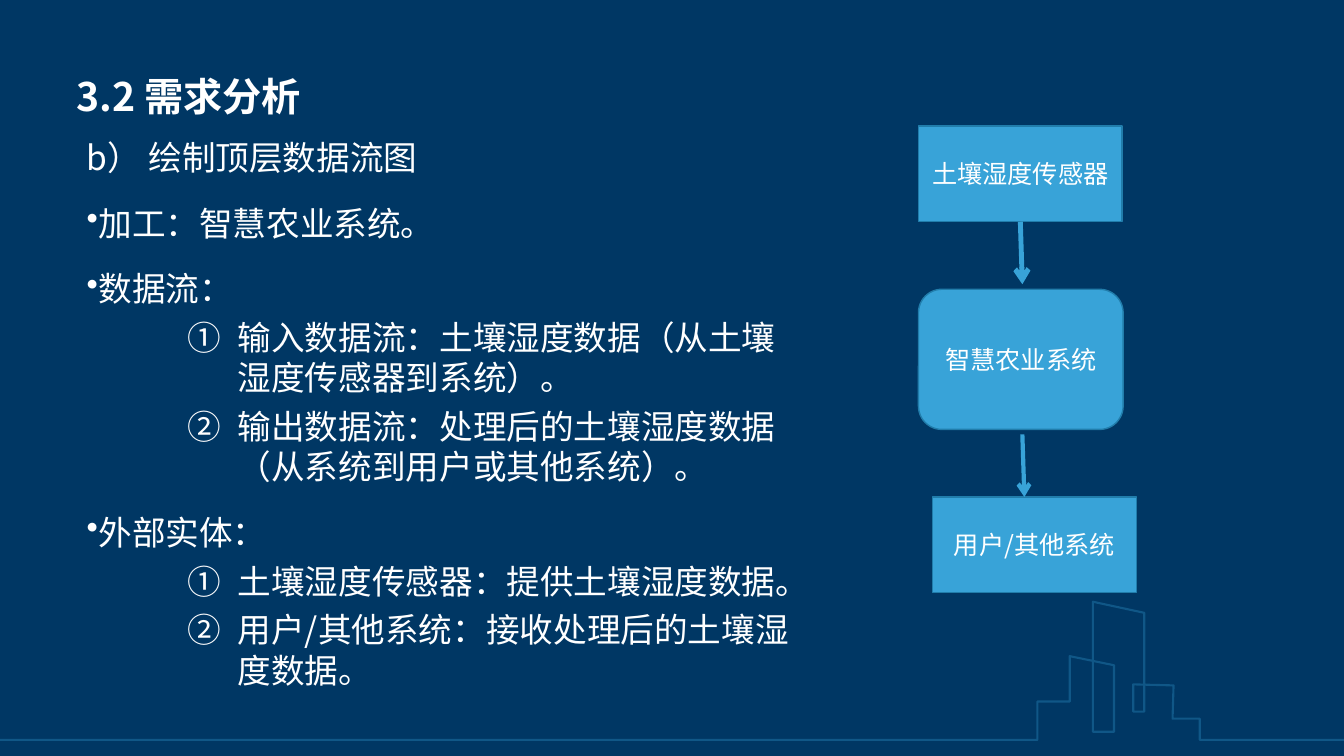
import pptx
import pptx.util
import pptx.dml.color
import pptx.enum.shapes
import pptx.enum.text
import pptx.oxml.ns
from lxml import etree

Inches, Pt = pptx.util.Inches, pptx.util.Pt
SHAPE = pptx.enum.shapes.MSO_SHAPE
ALIGN = pptx.enum.text.PP_ALIGN
ANCHOR = pptx.enum.text.MSO_ANCHOR

THEME = {
    "font": "Noto Sans CJK SC",
    "background": "003764", "text": "FFFFFF", "accent": "38A3D8", "border": "217DAB",
    "title": 28, "body": 24, "label": 18,
}

TITLE = "3.2 需求分析"
# (level, text)
BODY = [
    ("lead", "b） 绘制顶层数据流图"),
    ("bullet", "加工：智慧农业系统。"),
    ("bullet", "数据流："),
    ("number", "输入数据流：土壤湿度数据（从土壤湿度传感器到系统）。"),
    ("number", "输出数据流：处理后的土壤湿度数据（从系统到用户或其他系统）。"),
    ("bullet", "外部实体："),
    ("number", "土壤湿度传感器：提供土壤湿度数据。"),
    ("number", "用户/其他系统：接收处理后的土壤湿度数据。"),
]
# level: (margin, indent, space before, bullet tag, bullet attributes)
LEVELS = {
    "lead": (0, 0, 0, "a:buNone", {}),
    "bullet": (0, -0.58, 18, "a:buChar", {"char": "•"}),
    "number": (1.5, -0.5, 6, "a:buAutoNum", {"type": "circleNumDbPlain"}),
}
# (text, preset, left, top, width, height)
NODES = [
    ("土壤湿度传感器", SHAPE.RECTANGLE, 9.11, 1.25, 2.02, 0.95),
    ("智慧农业系统", SHAPE.ROUNDED_RECTANGLE, 9.11, 2.87, 2.03, 1.39),
    (" 用户/其他系统 ", SHAPE.RECTANGLE, 9.25, 4.93, 2.02, 0.95),
]
# (start, end, line width)
FLOWS = [((10.12, 2.2), (10.14, 2.82), 3.5), ((10.14, 4.31), (10.16, 4.93), 3)]
SKYLINE = [
    (13.33, 7.34), (11.9, 7.34), (11.9, 7.13), (11.63, 7.13), (11.64, 6.8), (11.24, 6.79),
    (11.24, 7.06), (11.35, 7.06), (11.35, 6.08), (10.84, 5.97), (10.84, 7.26), (11.05, 7.26),
    (11.05, 6.6), (10.61, 6.51), (10.61, 6.96), (10.29, 6.96), (10.29, 7.34), (0, 7.34),
]


def color(name):
    return pptx.dml.color.RGBColor.from_string(THEME[name])


def add_xml(parent, tag, **attributes):
    return etree.SubElement(parent, pptx.oxml.ns.qn(tag), attributes)


def write(para, text, size, bold=False, align=ALIGN.LEFT):
    para.alignment = align
    span = para.add_run()
    span.text = text
    span.font.size = Pt(THEME[size])
    span.font.bold = bold
    span.font.name = THEME["font"]
    span.font.color.rgb = color("text")
    add_xml(span.font._element, "a:ea", typeface=THEME["font"])


def add_box(page, left, top, width, height, inset, anchor):
    box = page.shapes.add_textbox(*map(Inches, (left, top, width, height)))
    frame = box.text_frame
    frame.word_wrap = True
    frame.vertical_anchor = anchor
    frame.margin_left = frame.margin_right = Inches(inset)
    frame.margin_top = frame.margin_bottom = Inches(inset / 2)
    return frame


def add_body(page):
    frame = add_box(page, 0.76, 1.31, 7.21, 5.75, 0.1, ANCHOR.TOP)
    for index, (level, text) in enumerate(BODY):
        para = frame.add_paragraph() if index else frame.paragraphs[0]
        margin, indent, before, tag, attributes = LEVELS[level]
        para.space_before = Pt(before)
        properties = para._p.get_or_add_pPr()
        properties.set("marL", str(Inches(margin)))
        properties.set("indent", str(Inches(indent)))
        add_xml(properties, tag, **attributes)
        write(para, text, "body")


def add_skyline(page):
    points = [(Inches(x), Inches(y)) for x, y in SKYLINE]
    builder = page.shapes.build_freeform(*points[0])
    builder.add_line_segments(points[1:], close=False)
    skyline = builder.convert_to_shape()
    skyline.shadow.inherit = False
    skyline.fill.background()
    skyline.line.color.rgb = color("accent")
    skyline.line.width = Pt(1.5)
    tint = skyline.line._ln.find(".//" + pptx.oxml.ns.qn("a:srgbClr"))
    add_xml(tint, "a:alpha", val="30000")


def add_node(page, text, preset, *place):
    node = page.shapes.add_shape(preset, *map(Inches, place))
    node.shadow.inherit = False
    node.fill.solid()
    node.fill.fore_color.rgb = color("accent")
    node.line.color.rgb = color("border")
    node.line.width = Pt(1)
    node.text_frame.word_wrap = True
    node.text_frame.vertical_anchor = ANCHOR.MIDDLE
    write(node.text_frame.paragraphs[0], text, "label", align=ALIGN.CENTER)


def add_flow(page, start, end, width):
    flow = page.shapes.add_connector(
        pptx.enum.shapes.MSO_CONNECTOR.STRAIGHT, *map(Inches, start + end))
    flow.line.color.rgb = color("accent")
    flow.line.width = Pt(width)
    add_xml(flow.line._ln, "a:tailEnd", type="arrow")
    add_xml(flow._element.spPr, "a:effectLst")


def main():
    deck = pptx.Presentation()
    deck.slide_width, deck.slide_height = Inches(13.33), Inches(7.5)
    page = deck.slides.add_slide(deck.slide_layouts[6])
    page.background.fill.solid()
    page.background.fill.fore_color.rgb = color("background")
    add_skyline(page)
    title = add_box(page, 0.76, 0.39, 11.81, 0.79, 0, ANCHOR.BOTTOM)
    write(title.paragraphs[0], TITLE, "title", bold=True)
    add_body(page)
    for node in NODES:
        add_node(page, *node)
    for flow in FLOWS:
        add_flow(page, *flow)
    deck.save("out.pptx")


if __name__ == "__main__":
    main()
